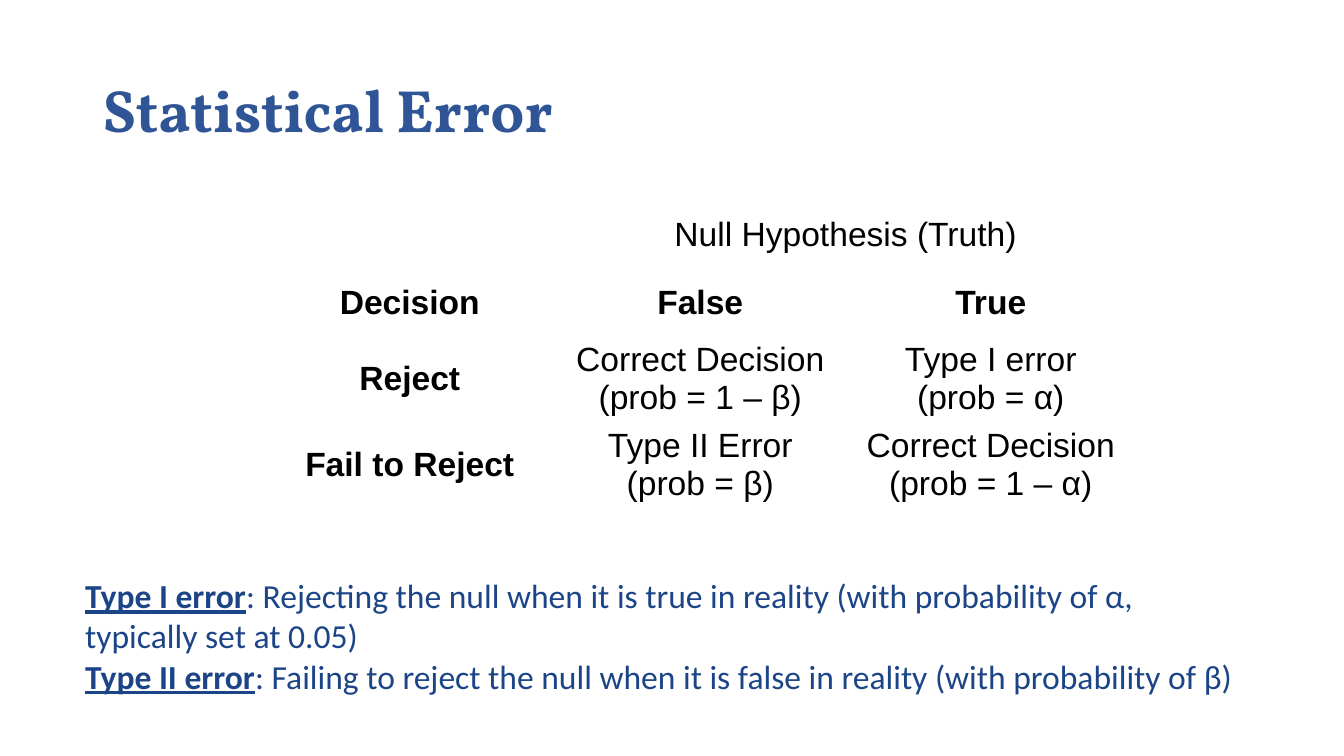
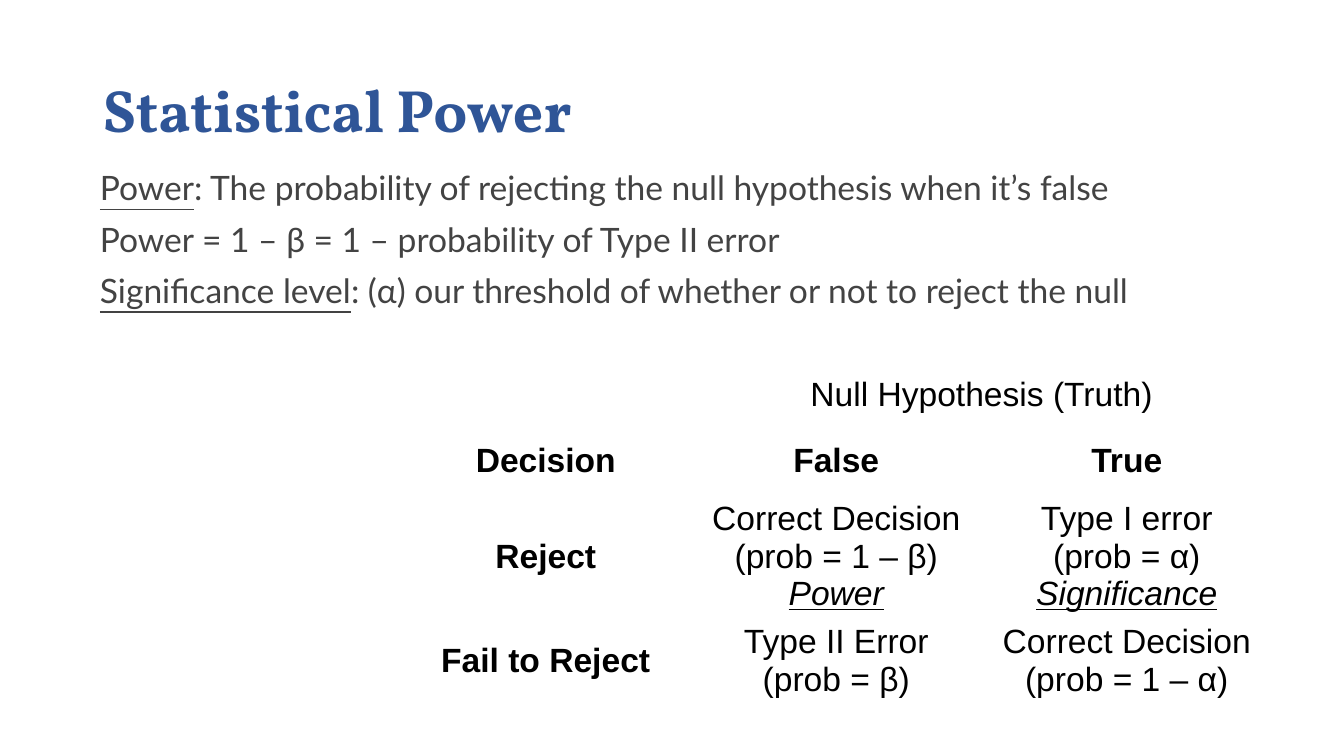
from dataclasses import dataclass, replace

from pptx import Presentation
from pptx.dml.color import RGBColor
from pptx.enum import text as enums
from pptx.util import Cm, Pt

BLUE, NAVY, GREY, BLACK = "2F5597", "1C4587", "434343", "000000"
PAD_X, PAD_Y = Cm(0.19), Cm(0.1)
COL = 5.49


@dataclass(frozen=True)
class Style:
    face: str
    size: int
    color: str
    bold: bool = False


@dataclass(frozen=True)
class Run:
    text: str
    bold: bool = False
    italic: bool = False
    under: bool = False


@dataclass(frozen=True)
class Para:
    runs: tuple[Run, ...]
    before: int = 0
    after: int = 0
    lines: float = 1.0


@dataclass(frozen=True)
class Box:
    left: float
    top: float
    width: float
    height: float

    def dims(self) -> tuple:
        return tuple(map(Cm, (self.left, self.top, self.width, self.height)))


HEAD = Style("Vollkorn", 32, BLUE, True)
BODY = Style("Lato", 18, GREY)
NOTE = Style("Calibri", 18, NAVY)
CELL = Style("Arial", 18, BLACK)

TITLE = Box(1.75, 0.76, 21.89, 2.77)


def rgb(code: str) -> RGBColor:
    return RGBColor.from_string(code)


def write(frame, paras: list[Para], style: Style, align=enums.PP_ALIGN.LEFT) -> None:
    for i, para in enumerate(paras):
        line = frame.add_paragraph() if i else frame.paragraphs[0]
        line.alignment = align
        line.line_spacing = para.lines
        line.space_before, line.space_after = Pt(para.before), Pt(para.after)
        for part in para.runs:
            run = line.add_run()
            run.text = part.text
            font = run.font
            font.name, font.size = style.face, Pt(style.size)
            font.color.rgb = rgb(style.color)
            font.bold = style.bold or part.bold
            font.italic, font.underline = part.italic, part.under


def setup(frame, anchor) -> None:
    frame.word_wrap = True
    frame.auto_size = enums.MSO_AUTO_SIZE.NONE
    frame.vertical_anchor = anchor
    frame.margin_left = frame.margin_right = PAD_X
    frame.margin_top = frame.margin_bottom = PAD_Y


def add_page(deck, name: str):
    """Add a title-only slide with its heading."""
    page = deck.slides.add_slide(deck.slide_layouts[5])
    head = page.shapes.title
    head.left, head.top, head.width, head.height = TITLE.dims()
    setup(head.text_frame, enums.MSO_ANCHOR.MIDDLE)
    write(head.text_frame, [Para((Run(name),), lines=0.9)], HEAD)
    return page


def add_text(page, box: Box, paras: list[Para], style: Style) -> None:
    frame = page.shapes.add_textbox(*box.dims()).text_frame
    setup(frame, enums.MSO_ANCHOR.TOP)
    write(frame, paras, style)


def plain(*lines: str) -> list[Para]:
    return [Para((Run(line),)) for line in lines]


def strong(line: str) -> list[Para]:
    return [Para((Run(line, bold=True),))]


def term(line: str) -> list[Para]:
    return [Para((Run(line, italic=True, under=True),))]


def error_grid(power: list[Para], level: list[Para]) -> list[list[list[Para]]]:
    """Decision table; the extra lines go in the two Reject cells."""
    return [
        [[], plain("Null Hypothesis (Truth)"), []],
        [strong(word) for word in ("Decision", "False", "True")],
        [strong("Reject"),
         plain("Correct Decision", "(prob = 1 – β)") + power,
         plain("Type I error", "(prob = α)") + level],
        [strong("Fail to Reject"),
         plain("Type II Error", "(prob = β)"),
         plain("Correct Decision", "(prob = 1 – α)")],
    ]


def add_grid(page, left: float, top: float, highs: list[float], grid) -> None:
    box = Box(left, top, COL * 3, sum(highs))
    table = page.shapes.add_table(len(grid), 3, *box.dims()).table
    table.first_row = table.horz_banding = False
    for col in table.columns:
        col.width = Cm(COL)
    for row, high, items in zip(table.rows, highs, grid):
        row.height = Cm(high)
        for cell, paras in zip(row.cells, items):
            cell.fill.background()
            cell.vertical_anchor = enums.MSO_ANCHOR.MIDDLE
            cell.margin_left = cell.margin_right = PAD_X
            cell.margin_top = cell.margin_bottom = PAD_Y
            write(cell.text_frame, paras, CELL, enums.PP_ALIGN.CENTER)
    table.cell(0, 1).merge(table.cell(0, 2))


def add_error(deck) -> None:
    page = add_page(deck, "Statistical Error")
    add_grid(page, 5, 3.81, [1.27] * 4, error_grid([], []))
    notes = [
        ("Type I error", ": Rejecting the null when it is true in reality "
                         "(with probability of α, typically set at 0.05)"),
        ("Type II error", ": Failing to reject the null when it is false in "
                          "reality (with probability of β)"),
    ]
    paras = [Para((Run(key, bold=True, under=True), Run(rest)))
             for key, rest in notes]
    add_text(page, Box(1.42, 10.77, 22.3, 2.49), paras, NOTE)


def add_power(deck) -> None:
    page = add_page(deck, "Statistical Power")
    first = Para((Run("Power", under=True),
                  Run(": The probability of rejecting the null hypothesis "
                      "when it’s false")), lines=0.9)
    paras = [
        first,
        replace(first, before=8, runs=(
            Run("Power = 1 – β = 1 – probability of Type II error"),)),
        replace(first, before=8, after=16, runs=(
            Run("Significance level", under=True),
            Run(": (α) our threshold of whether or not to reject the null"))),
    ]
    add_text(page, Box(1.7, 3.15, 21.89, 9.07), paras, BODY)
    grid = error_grid(term("Power"), term("Significance"))
    add_grid(page, 7.57, 6.86, [1.22, 1.27, 1.9, 1.27], grid)


def main() -> None:
    deck = Presentation()
    deck.slide_width, deck.slide_height = Cm(25.4), Cm(14.29)
    add_error(deck)
    add_power(deck)
    deck.save("out.pptx")


if __name__ == "__main__":
    main()
